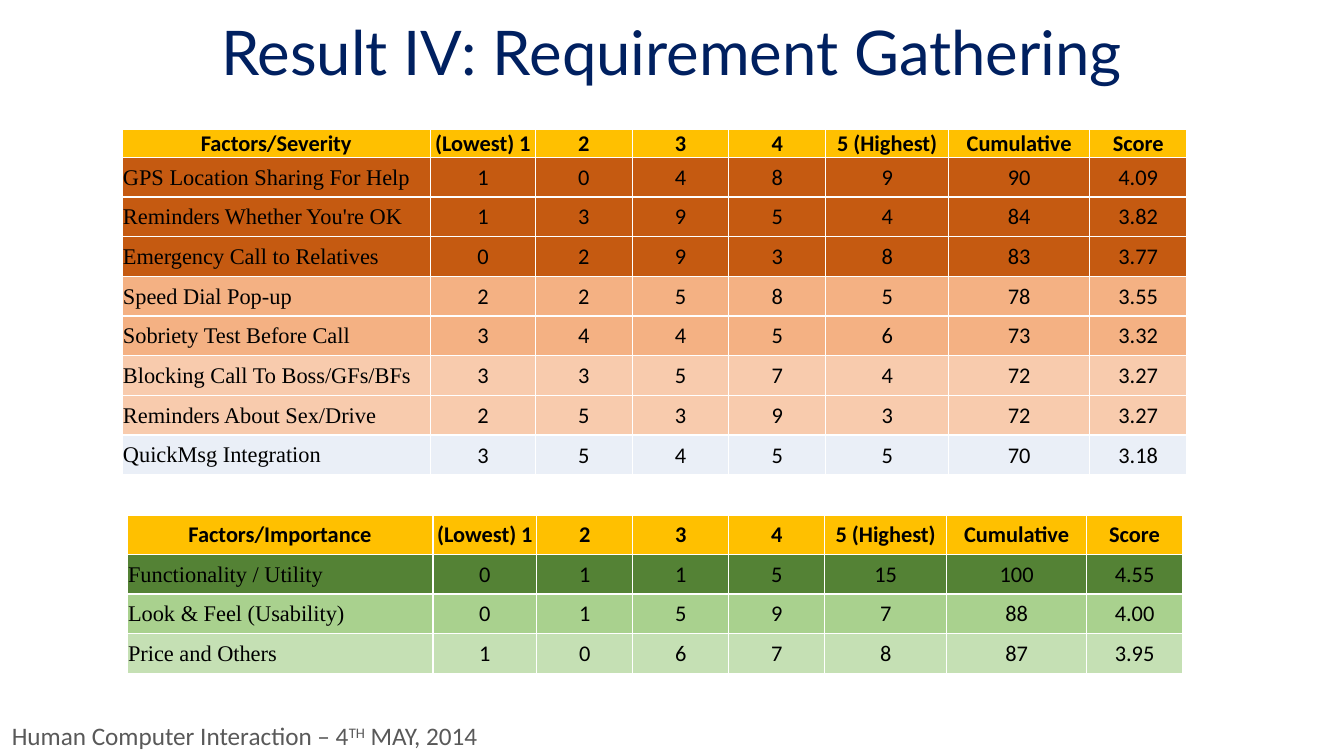
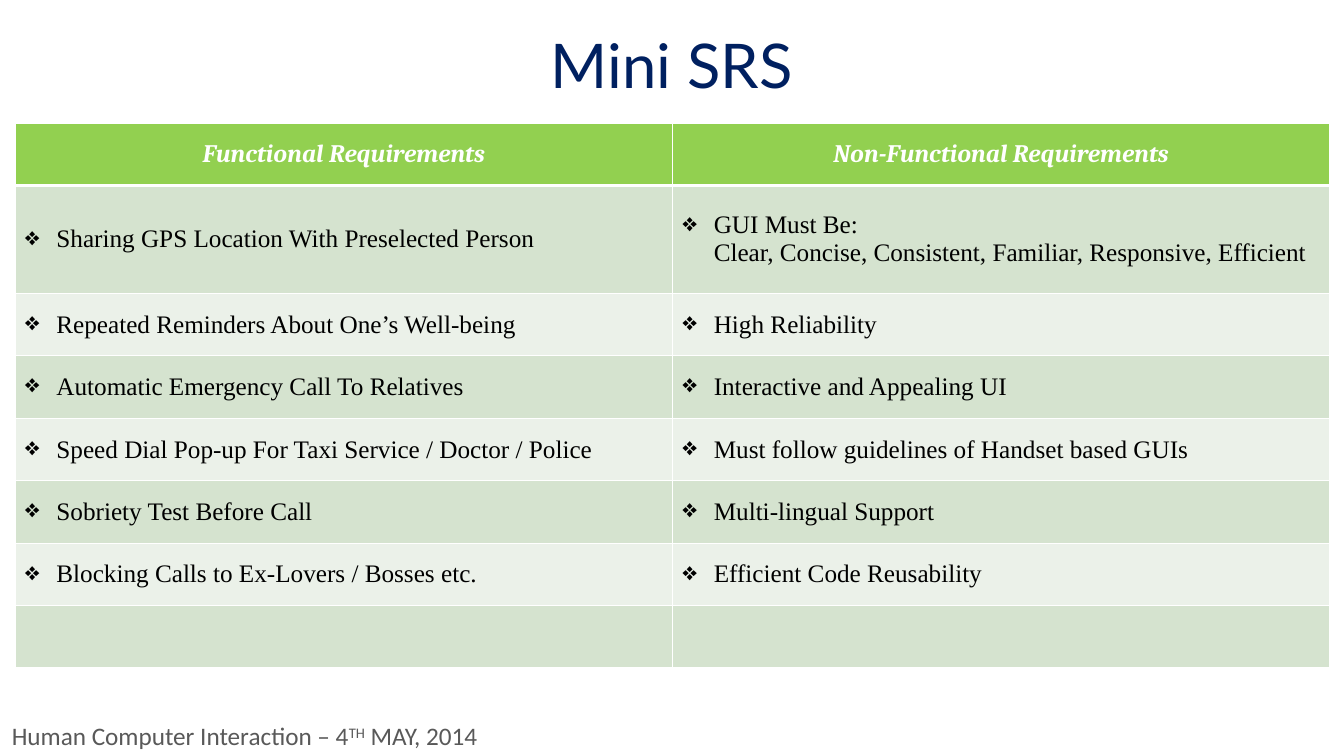
from dataclasses import dataclass

from lxml import etree
from pptx import Presentation
from pptx import util as u
from pptx.dml import color
from pptx.enum import text
from pptx.oxml import ns

SCALE = ["(Lowest) 1", "2", "3", "4", "5 (Highest)", "Cumulative", "Score"]
SEVERITY = [
    ("GPS Location Sharing For Help", 1, 0, 4, 8, 9, 90, "4.09"),
    ("Reminders Whether You're OK", 1, 3, 9, 5, 4, 84, "3.82"),
    ("Emergency Call to Relatives", 0, 2, 9, 3, 8, 83, "3.77"),
    ("Speed Dial Pop-up", 2, 2, 5, 8, 5, 78, "3.55"),
    ("Sobriety Test Before Call", 3, 4, 4, 5, 6, 73, "3.32"),
    ("Blocking Call To Boss/GFs/BFs", 3, 3, 5, 7, 4, 72, "3.27"),
    ("Reminders About Sex/Drive", 2, 5, 3, 9, 3, 72, "3.27"),
    ("QuickMsg Integration", 3, 5, 4, 5, 5, 70, "3.18"),
]
IMPORTANCE = [
    ("Functionality / Utility", 0, 1, 1, 5, 15, 100, "4.55"),
    ("Look & Feel (Usability)", 0, 1, 5, 9, 7, 88, "4.00"),
    ("Price and Others", 1, 0, 6, 7, 8, 87, "3.95"),
]
SRS_HEADINGS = ("Functional Requirements", "Non-Functional Requirements")
# Each cell lists its lines; only the first line takes a bullet.
SRS = [
    (["Sharing GPS Location With Preselected Person"],
     ["GUI Must Be:",
      "Clear, Concise, Consistent, Familiar, Responsive, Efficient"]),
    (["Repeated Reminders About One’s Well-being"], ["High Reliability"]),
    (["Automatic Emergency Call To Relatives"], ["Interactive and Appealing UI"]),
    (["Speed Dial Pop-up For Taxi Service / Doctor / Police"],
     ["Must follow guidelines of Handset based GUIs"]),
    (["Sobriety Test Before Call"], ["Multi-lingual Support"]),
    (["Blocking Calls to Ex-Lovers / Bosses etc."], ["Efficient Code Reusability"]),
    ([], []),
]
FOOTER = [("Human Computer Interaction – 4", 0), ("TH", 30), (" MAY, 2014", 0)]

FACTOR_COLUMNS = [3.06, 1.04, 0.96, 0.96, 0.96, 1.22, 1.4, 0.96]


@dataclass(frozen=True)
class Theme:
    """Colours, fonts and type sizes used on every slide."""
    navy: str = "002060"
    grey: str = "595959"
    black: str = "000000"
    white: str = "FFFFFF"
    gold: str = "FFC000"
    lime: str = "92D050"
    bands: tuple = ("D5E3CF", "EBF1E9")
    oranges: tuple = ("C55A11",) * 3 + ("F4B183",) * 2 + ("F8CBAD",) * 2 + ("EAEFF7",)
    greens: tuple = ("548235", "A9D18E", "C5E0B4")
    title_font: str = "Lato"
    body_font: str = "Calibri"
    serif_font: str = "Times New Roman"
    heading_font: str = "Cambria"
    title_size: int = 44
    text_size: int = 18
    table_size: int = 16


THEME = Theme()
LEFT, CENTER = text.PP_ALIGN.LEFT, text.PP_ALIGN.CENTER


def write(para, content, *, font=THEME.body_font, size=THEME.text_size,
          ink=THEME.black, bold=False, italic=False, align=LEFT):
    """Fill a paragraph with a string or with (string, raise percent) pieces."""
    para.alignment = align
    pieces = [(content, 0)] if isinstance(content, str) else content
    for words, raised in pieces:
        span = para.add_run()
        span.text = words
        span.font.name, span.font.size = font, u.Pt(size)
        span.font.bold, span.font.italic = bold, italic
        span.font.color.rgb = color.RGBColor.from_string(ink)
        if raised:
            span.font._element.set("baseline", str(raised * 1000))


def indent(para, *, bullet, margin=0.31):
    """Indent a paragraph, with a hanging diamond if bullet is set."""
    props = para._p.get_or_add_pPr()
    props.set("marL", str(u.Inches(margin)))
    props.set("indent", str(u.Inches(-margin) if bullet else 0))
    if bullet:
        etree.SubElement(props, ns.qn("a:buChar")).set("char", "❖")


def style_cell(cell, fill, *, bottom=1, inset=None):
    """Give a cell white borders, a solid fill and optional tight margins."""
    props = cell._tc.get_or_add_tcPr()
    for side, width in zip("LRTB", (1, 1, 1, bottom)):
        line = etree.SubElement(props, ns.qn(f"a:ln{side}"), w=str(u.Pt(width)))
        solid = etree.SubElement(line, ns.qn("a:solidFill"))
        etree.SubElement(solid, ns.qn("a:srgbClr"), val=THEME.white)
    cell.fill.solid()
    cell.fill.fore_color.rgb = color.RGBColor.from_string(fill)
    cell.vertical_anchor = text.MSO_ANCHOR.MIDDLE
    if inset is not None:
        cell.margin_left = cell.margin_right = cell.margin_top = u.Inches(inset)
        cell.margin_bottom = 0


def add_grid(page, left, top, columns, rows):
    """Add a plain table with the given column widths and row heights."""
    frame = page.shapes.add_table(
        len(rows), len(columns), u.Inches(left), u.Inches(top),
        u.Inches(sum(columns)), u.Inches(sum(rows)))
    grid = frame.table
    grid.first_row = grid.horz_banding = False
    for column, width in zip(grid.columns, columns):
        column.width = u.Inches(width)
    for row, height in zip(grid.rows, rows):
        row.height = u.Inches(height)
    return grid


def add_factors(page, heading, ratings, fills, *, left, top, width, height, header):
    """Add a table of rated factors under a gold header row."""
    ratio = width / sum(FACTOR_COLUMNS)
    row_height = (height - header) / len(ratings)
    grid = add_grid(page, left, top, [ratio * w for w in FACTOR_COLUMNS],
                    [header] + [row_height] * len(ratings))
    lines = [(heading, *SCALE), *ratings]
    for r, (line, fill) in enumerate(zip(lines, (THEME.gold, *fills))):
        for c, value in enumerate(line):
            cell = grid.cell(r, c)
            style_cell(cell, fill, inset=0.01)
            label = r > 0 and c == 0
            write(cell.text_frame.paragraphs[0], str(value), size=THEME.table_size,
                  font=THEME.serif_font if label else THEME.body_font,
                  bold=r == 0, align=LEFT if label else CENTER)


def add_requirements(page):
    """Add the two-column table of requirements."""
    grid = add_grid(page, 0.15, 1.22, [6.52] * 2, [0.62, 1.07] + [0.62] * 6)
    for c, heading in enumerate(SRS_HEADINGS):
        cell = grid.cell(0, c)
        style_cell(cell, THEME.lime, bottom=3)
        write(cell.text_frame.paragraphs[0], heading, font=THEME.heading_font,
              ink=THEME.white, bold=True, italic=True, align=CENTER)
    for r, pair in enumerate(SRS):
        for c, lines in enumerate(pair):
            cell = grid.cell(r + 1, c)
            style_cell(cell, THEME.bands[r % 2])
            frame = cell.text_frame
            for n, line in enumerate(lines):
                para = frame.add_paragraph() if n else frame.paragraphs[0]
                write(para, line, font=THEME.serif_font)
                indent(para, bullet=n == 0)


def add_page(deck, title, title_top):
    """Add a slide with its title and the course footer."""
    page = deck.slides.add_slide(deck.slide_layouts.get_by_name("Title Only"))
    box = page.shapes.title
    box.left, box.top = u.Inches(1), u.Inches(title_top)
    box.width, box.height = u.Inches(11.33), u.Inches(1.1)
    footer = page.shapes.add_textbox(
        u.Inches(-0.23), u.Inches(7.1), u.Inches(5.31), u.Inches(0.4))
    for shape in (box, footer):
        shape.text_frame.word_wrap = True
        shape.text_frame.vertical_anchor = text.MSO_ANCHOR.MIDDLE
    heading = box.text_frame.paragraphs[0]
    heading.line_spacing = 0.9
    write(heading, title, font=THEME.title_font, size=THEME.title_size,
          ink=THEME.navy, align=CENTER)
    write(footer.text_frame.paragraphs[0], FOOTER, ink=THEME.grey, align=CENTER)
    return page


def main():
    """Build and save the deck."""
    deck = Presentation()
    deck.slide_width, deck.slide_height = u.Inches(13.33), u.Inches(7.5)
    page = add_page(deck, "Result IV: Requirement Gathering", 0)
    add_factors(page, "Factors/Severity", SEVERITY, THEME.oranges,
                left=1.21, top=1.28, width=10.56, height=3.43, header=0.28)
    add_factors(page, "Factors/Importance", IMPORTANCE, THEME.greens,
                left=1.26, top=5.11, width=10.47, height=1.57, header=0.39)
    add_requirements(add_page(deck, "Mini SRS", 0.13))
    deck.save("out.pptx")


main()
